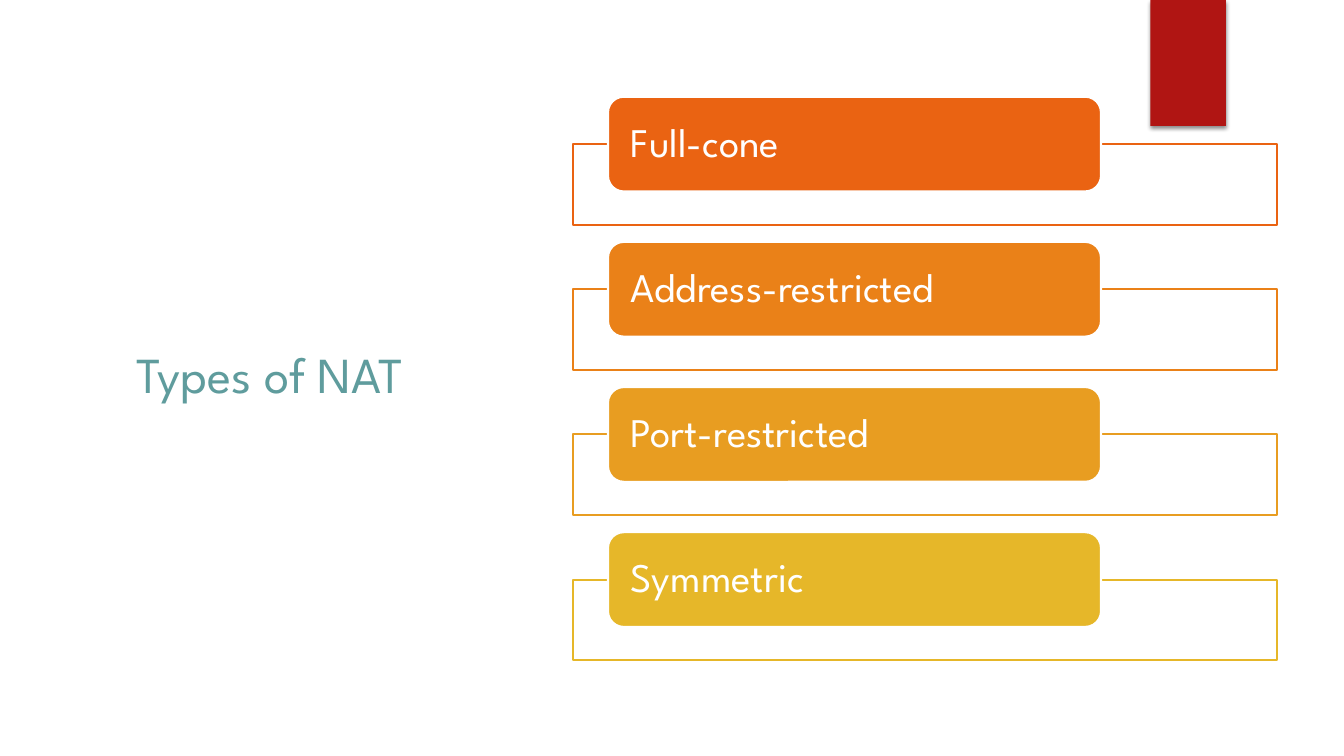
from lxml import etree
from pptx import Presentation
from pptx.dml.color import RGBColor
from pptx.enum.shapes import MSO_SHAPE
from pptx.enum.text import MSO_ANCHOR, PP_ALIGN
from pptx.oxml import parse_xml
from pptx.oxml.ns import nsdecls, qn
from pptx.util import Inches, Pt

FONT = "League Spartan"
WHITE = "FFFFFF"
NAT_TYPES = [
    ("Full-cone", "EA6312"),
    ("Address-restricted", "EA8118"),
    ("Port-restricted", "E89D21"),
    ("Symmetric", "E6B729"),
]
FIRST_TOP = 0.96
ROW_STEP = 1.44


def color(hex_value):
    return RGBColor.from_string(hex_value)


def add_box(slide, preset, left, top, width, height, fill, line=None):
    box = slide.shapes.add_shape(
        preset, Inches(left), Inches(top), Inches(width), Inches(height)
    )
    box.shadow.inherit = False
    box.fill.solid()
    box.fill.fore_color.rgb = color(fill)
    if line:
        box.line.color.rgb = color(line)
        box.line.width = Pt(1.5)
    else:
        box.line.fill.background()
    return box


def write_text(holder, text, size, hex_value, side_inset, line_spacing=1.0):
    frame = holder.text_frame
    frame.word_wrap = True
    frame.vertical_anchor = MSO_ANCHOR.MIDDLE
    frame.margin_left = frame.margin_right = Inches(side_inset)
    frame.margin_top = frame.margin_bottom = Inches(0.05)
    paragraph = frame.paragraphs[0]
    paragraph.alignment = PP_ALIGN.LEFT
    paragraph.line_spacing = line_spacing
    run = paragraph.add_run()
    run.text = text
    run.font.name = FONT
    run.font.size = Pt(size)
    run.font.color.rgb = color(hex_value)


def add_title(slide, text):
    title = slide.shapes.add_textbox(
        Inches(1.26), Inches(1.06), Inches(3.22), Inches(5.29)
    )
    write_text(title, text, 36, "5F9C9D", 0.1)


def add_ribbon(slide):
    ribbon = add_box(slide, MSO_SHAPE.RECTANGLE, 11.41, 0, 0.75, 1.25, "B01513")
    effects = ribbon._element.spPr.find(qn("a:effectLst"))
    effects.append(parse_xml(
        f'<a:outerShdw {nsdecls("a")} blurRad="{Pt(3)}" dist="{Pt(2)}" '
        'dir="5400000" rotWithShape="0"><a:srgbClr val="000000">'
        '<a:alpha val="45000"/></a:srgbClr></a:outerShdw>'
    ))


def add_nat_type(slide, top, name, accent):
    panel = add_box(
        slide, MSO_SHAPE.RECTANGLE, 5.68, top + 0.47, 6.99, 0.8, WHITE, accent
    )
    panel_color = panel._element.spPr.find(qn("a:solidFill")).find(qn("a:srgbClr"))
    etree.SubElement(panel_color, qn("a:alpha"), val="90000")
    label = add_box(
        slide, MSO_SHAPE.ROUNDED_RECTANGLE, 6.03, top, 4.89, 0.94, accent, WHITE
    )
    write_text(label, name, 29, WHITE, 0.18, 0.9)


def main():
    deck = Presentation()
    deck.slide_width = Inches(13.33)
    deck.slide_height = Inches(7.5)
    slide = deck.slides.add_slide(deck.slide_layouts[6])
    slide.background.fill.solid()
    slide.background.fill.fore_color.rgb = color(WHITE)
    add_ribbon(slide)
    add_title(slide, "Types of NAT")
    for row, (name, accent) in enumerate(NAT_TYPES):
        add_nat_type(slide, FIRST_TOP + row * ROW_STEP, name, accent)
    deck.save("out.pptx")


if __name__ == "__main__":
    main()
